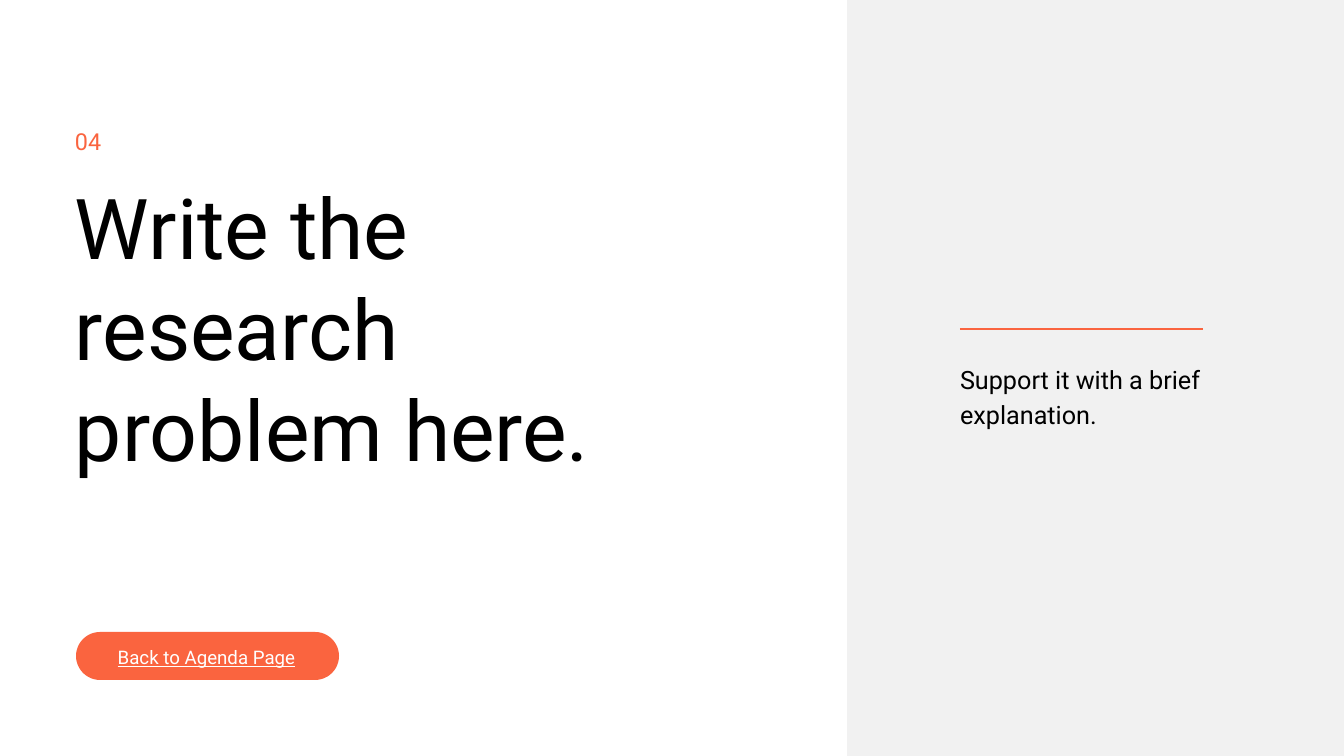
import pptx
import pptx.dml.color
import pptx.enum.shapes
import pptx.enum.text
import pptx.util
from lxml import etree

WIDTH, HEIGHT = 1344, 756
PX_PER_INCH = 67.2
FONT = "Roboto"
ORANGE, GREY, BLACK, WHITE = "FA643F", "F1F1F1", "000000", "FFFFFF"
SHAPES = pptx.enum.shapes.MSO_SHAPE
ALIGN = pptx.enum.text.PP_ALIGN


def px(n):
    return pptx.util.Inches(n / PX_PER_INCH)


def color(hex_string):
    return pptx.dml.color.RGBColor.from_string(hex_string)


def write(tf, text, size, leading, fill=BLACK, align=ALIGN.LEFT, underline=None):
    p = tf.paragraphs[0]
    p.alignment = align
    p.line_spacing = pptx.util.Pt(leading)
    r = p.add_run()
    r.text = text
    r.font.name = FONT
    r.font.size = pptx.util.Pt(size)
    r.font.color.rgb = color(fill)
    r.font.underline = underline


class SlideBuilder:
    def __init__(self, prs):
        self.s = prs.slides.add_slide(prs.slide_layouts[6])
        self.s.background.fill.solid()
        self.s.background.fill.fore_color.rgb = color(WHITE)

    def block(self, kind, x, y, w, h, fill):
        """Add a filled preset shape without outline or shadow."""
        sp = self.s.shapes.add_shape(kind, px(x), px(y), px(w), px(h))
        sp.shadow.inherit = False
        sp.fill.solid()
        sp.fill.fore_color.rgb = color(fill)
        sp.line.fill.background()
        return sp

    def text(self, x, y, w, h, text, **style):
        tf = self.s.shapes.add_textbox(px(x), px(y), px(w), px(h)).text_frame
        tf.margin_left = tf.margin_top = tf.margin_right = tf.margin_bottom = 0
        tf.word_wrap = True
        tf.auto_size = pptx.enum.text.MSO_AUTO_SIZE.SHAPE_TO_FIT_TEXT
        write(tf, text, **style)

    def rule(self, x, y, w, fill, weight):
        """Add a horizontal line."""
        line = self.s.shapes.add_connector(
            pptx.enum.shapes.MSO_CONNECTOR.STRAIGHT, px(x), px(y), px(x + w), px(y))
        line.line.color.rgb = color(fill)
        line.line.width = pptx.util.Pt(weight)
        etree.SubElement(line._element.spPr, pptx.oxml.ns.qn("a:effectLst"))


def main():
    prs = pptx.Presentation()
    prs.slide_width, prs.slide_height = px(WIDTH), px(HEIGHT)
    slide = SlideBuilder(prs)

    panel_x = 847
    slide.block(SHAPES.RECTANGLE, panel_x, 0, WIDTH - panel_x, HEIGHT, GREY)

    button = slide.block(SHAPES.ROUNDED_RECTANGLE, 76, 632, 263, 48, ORANGE)
    button.adjustments[0] = 0.5
    slide.text(99, 642, 215, 26, "Back to Agenda Page", size=20, leading=28,
               fill=WHITE, align=ALIGN.CENTER, underline=True)

    left = 75
    slide.text(left, 176, 632, 303, "Write the research problem here.",
               size=90, leading=108)
    slide.text(left, 129, 42, 27, "04", size=25, leading=27.5, fill=ORANGE)

    note_x, note_w = 960, 243
    slide.text(note_x, 359, note_w, 68, "Support it with a brief explanation.",
               size=27, leading=37.8)
    slide.rule(note_x, 329, note_w, ORANGE, 2)

    prs.save("out.pptx")


if __name__ == "__main__":
    main()
